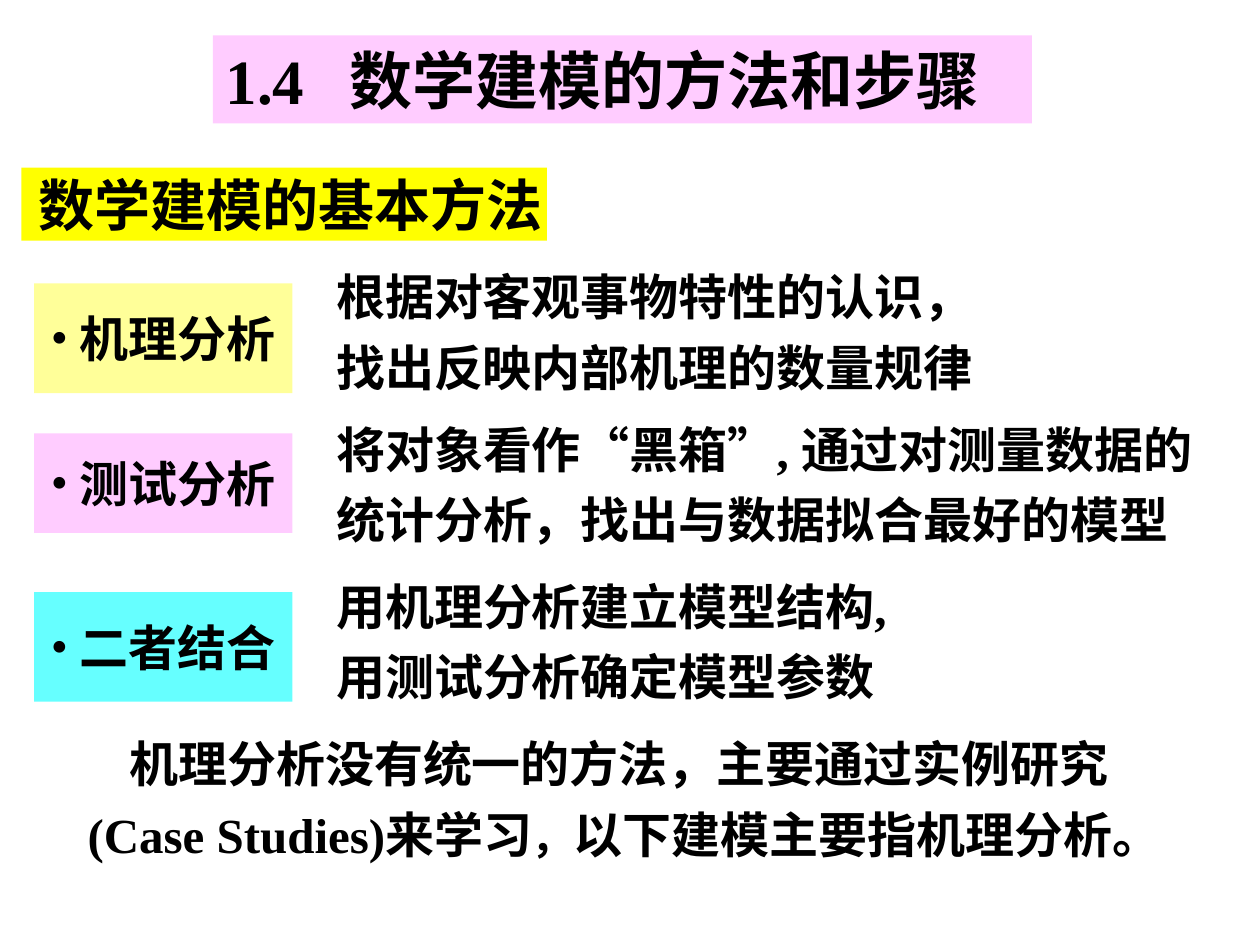
from lxml import etree
from pptx import Presentation
from pptx.dml.color import RGBColor
from pptx.enum.shapes import MSO_SHAPE
from pptx.enum.text import MSO_ANCHOR, MSO_AUTO_SIZE, PP_ALIGN
from pptx.oxml.ns import qn
from pptx.util import Inches, Pt

RECTANGLE = MSO_SHAPE.RECTANGLE
MIDDLE = MSO_ANCHOR.MIDDLE
NO_AUTOFIT = MSO_AUTO_SIZE.NONE
LEFT, CENTER = PP_ALIGN.LEFT, PP_ALIGN.CENTER
CHINESE, ROMAN = "Noto Sans CJK SC", "Times New Roman"
BLACK = "000000"

METHODS = [
    ("机理分析", "FFFF99", (0.27, 2.25, 2.05, 0.87),
     ["根据对客观事物特性的认识，", "找出反映内部机理的数量规律"], (2.57, 2, 5.34, 1.17)),
    ("测试分析", "FFCCFF", (0.27, 3.44, 2.05, 0.79),
     ["将对象看作“黑箱”, 通过对测量数据的", "统计分析，找出与数据拟合最好的模型"],
     (2.57, 3.17, 6.92, 1.25)),
    ("二者结合", "66FFFF", (0.27, 4.7, 2.05, 0.87),
     ["用机理分析建立模型结构,", "用测试分析确定模型参数"], (2.57, 4.5, 4.71, 1.08)),
]


def color(value):
    return RGBColor.from_string(value)


def lengths(box):
    return [Inches(value) for value in box]


def add_run(paragraph, text, font_name, size=28):
    run = paragraph.add_run()
    run.text = text
    font = run.font
    font.name, font.size, font.bold = font_name, Pt(size), True
    font.color.rgb = color(BLACK)
    latin = run._r.get_or_add_rPr().find(qn("a:latin"))
    east_asian = etree.Element(qn("a:ea"), typeface=CHINESE)
    latin.addnext(east_asian)


def prepare_frame(shape, wrap=False):
    frame = shape.text_frame
    frame.auto_size = NO_AUTOFIT
    frame.word_wrap = wrap
    frame.vertical_anchor = MIDDLE
    return frame


def fill_shape(shape, fill):
    shape.fill.solid()
    shape.fill.fore_color.rgb = color(fill)
    shape.line.fill.background()


def add_title(slide, box):
    title = slide.shapes.title
    title.left, title.top, title.width, title.height = lengths(box)
    fill_shape(title, "FFCCFF")
    paragraph = prepare_frame(title, wrap=True).paragraphs[0]
    tabs = etree.SubElement(paragraph._p.get_or_add_pPr(), qn("a:tabLst"))
    etree.SubElement(tabs, qn("a:tab"), pos=str(Inches(0.98)), algn="l")
    paragraph.alignment = LEFT
    add_run(paragraph, "1.4\t", ROMAN, 36)
    add_run(paragraph, "数学建模的方法和步骤", CHINESE, 36)


def add_label(slide, box, fill, text, size=28, bulleted=True):
    label = slide.shapes.add_shape(RECTANGLE, *lengths(box))
    label.shadow.inherit = False
    fill_shape(label, fill)
    paragraph = prepare_frame(label).paragraphs[0]
    if bulleted:
        add_bullet(paragraph)
    paragraph.alignment = CENTER
    add_run(paragraph, text, CHINESE, size)


def add_bullet(paragraph):
    properties = paragraph._p.get_or_add_pPr()
    properties.set("marL", str(Inches(0.23)))
    properties.set("indent", str(Inches(-0.23)))
    bullet_color = etree.SubElement(properties, qn("a:buClr"))
    etree.SubElement(bullet_color, qn("a:srgbClr"), val=BLACK)
    etree.SubElement(properties, qn("a:buFont"), typeface=ROMAN)
    etree.SubElement(properties, qn("a:buChar"), char="•")


def add_lines(slide, box, lines, alignment=LEFT):
    frame = prepare_frame(slide.shapes.add_textbox(*lengths(box)))
    for index, runs in enumerate(lines):
        paragraph = frame.add_paragraph() if index else frame.paragraphs[0]
        paragraph.alignment = alignment
        paragraph.line_spacing = 1.2
        for run in runs:
            add_run(paragraph, *run)


def add_method(slide, name, fill, label_box, description, description_box):
    add_label(slide, label_box, fill, name)
    add_lines(slide, description_box, [[(line, ROMAN)] for line in description])


def add_conclusion(slide, box):
    add_lines(slide, box, [
        [("机理分析没有统一的方法，主要通过实例研究 ", CHINESE)],
        [("(Case Studies)", ROMAN), ("来学习", CHINESE), ("，", ROMAN, 24),
         ("以下建模主要指机理分析。", CHINESE)],
    ], CENTER)


def main():
    presentation = Presentation()
    presentation.slide_width, presentation.slide_height = Inches(10), Inches(7.5)
    slide = presentation.slides.add_slide(presentation.slide_layouts[5])
    add_title(slide, (1.69, 0.28, 6.5, 0.7))
    add_label(slide, (0.17, 1.33, 4.17, 0.58), "FFFF00", " 数学建模的基本方法", 32, False)
    for method in METHODS:
        add_method(slide, *method)
    add_conclusion(slide, (0.58, 5.75, 8.75, 1.08))
    presentation.save("out.pptx")


if __name__ == "__main__":
    main()
